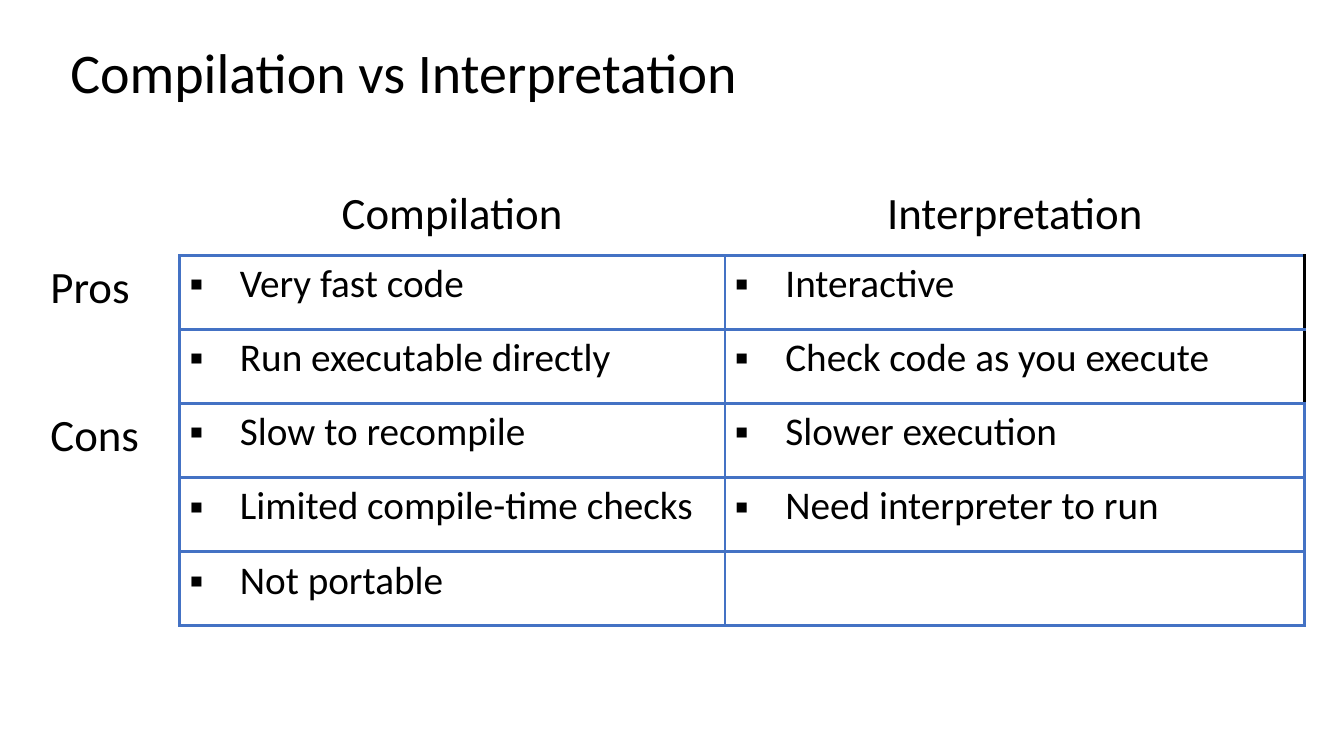
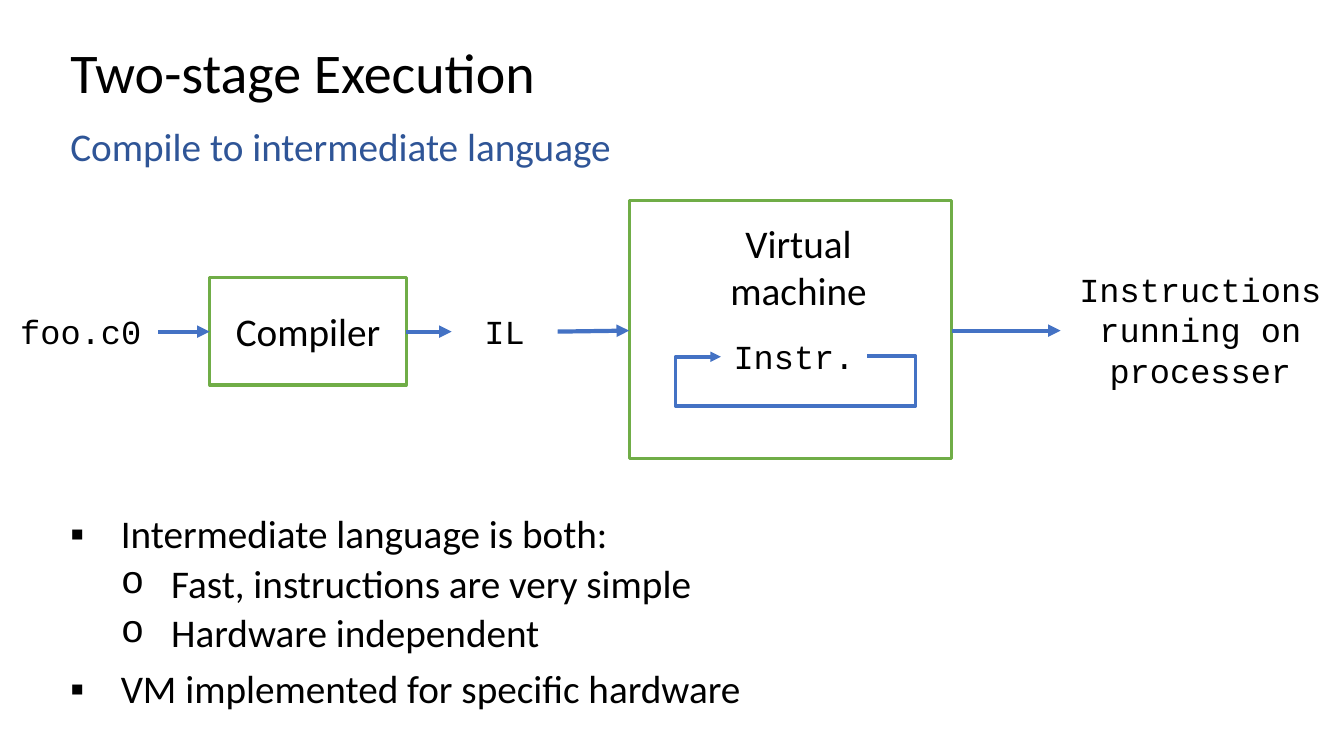
import pptx
import pptx.util
import pptx.dml.color
import pptx.enum.shapes
import pptx.enum.text
import pptx.oxml
import pptx.oxml.ns
import lxml.etree

Inches = pptx.util.Inches
Pt = pptx.util.Pt
qn = pptx.oxml.ns.qn
MIDDLE = pptx.enum.text.MSO_ANCHOR.MIDDLE
TOP = pptx.enum.text.MSO_ANCHOR.TOP
CENTER = pptx.enum.text.PP_ALIGN.CENTER
LEFT = pptx.enum.text.PP_ALIGN.LEFT

BLACK, BLUE, NAVY, GREEN = "000000", "4472C4", "2F5597", "70AD47"
SANS, MONO = "Calibri", "Courier New"
SQUARE, RING = ("▪", SANS), ("o", MONO)
MARGIN, BODY_WIDTH = 0.6, 11.5

COMPARISON_TITLE = "Compilation vs Interpretation"
COMPARISON = [
    ("", "Compilation", "Interpretation"),
    ("Pros", "Very fast code", "Interactive"),
    ("", "Run executable directly", "Check code as you execute"),
    ("Cons", "Slow to recompile", "Slower execution"),
    ("", "Limited compile-time checks", "Need interpreter to run"),
    ("", "Not portable", ""),
]
TABLE_BOX = (0.4, 1.8, 12.54, 4.41)
COLUMN_WIDTHS = (1.38, 5.41, 5.75)
RULED_BELOW = {0, 1, 2, 3, 5}
BLACK_EDGE_ROWS = {1, 2}

STAGES_TITLE = "Two-stage Execution"
STAGES_SUBTITLE = "Compile to intermediate language"
FRAMES = [
    ((2.08, 2.75, 1.95, 1.07), "Compiler"),
    ((6.24, 1.99, 3.2, 2.56), ""),
]
LABELS = [
    ((0.04, 3.04, 1.52, 0.5), "foo.c0", MONO, 24),
    ((4.48, 3.04, 1.05, 0.5), "IL", MONO, 24),
    ((6.65, 2.13, 2.54, 1.04), "Virtual machine", SANS, 28),
    ((7.15, 3.28, 1.45, 0.5), "Instr.", MONO, 24),
    ((10.52, 2.62, 2.77, 1.31), "Instructions running on processer", MONO, 24),
]
ARROWS = [
    ((1.57, 3.29), (2.08, 3.29)),
    ((4.03, 3.29), (4.48, 3.29)),
    ((5.53, 3.29), (6.24, 3.28)),
    ((9.44, 3.28), (10.52, 3.28)),
]
LOOP = [(8.6, 3.53), (9.08, 3.53), (9.08, 4.03), (6.7, 4.03), (6.7, 3.54), (7.15, 3.54)]
POINTS = [
    (0, "Intermediate language is both:"),
    (1, "Fast, instructions are very simple"),
    (1, "Hardware independent"),
    (0, "VM implemented for specific hardware"),
]


def color(code):
    """Turn a hex string into a colour."""
    return pptx.dml.color.RGBColor.from_string(code)


def style(para, size, font=SANS, tint=BLACK, align=LEFT):
    """Set the font and alignment of a paragraph."""
    para.font.size = Pt(size)
    para.font.name = font
    para.font.color.rgb = color(tint)
    para.alignment = align


def add_bullet(para, mark, level=0):
    """Give a paragraph a hanging bullet."""
    sign, font = mark
    props = para._p.get_or_add_pPr()
    props.set("marL", str(Inches(0.5 * (level + 1))))
    props.set("indent", str(Inches(-0.5)))
    bullet_font = lxml.etree.Element(qn("a:buFont"), typeface=font)
    bullet = lxml.etree.Element(qn("a:buChar"), char=sign)
    defaults = props.find(qn("a:defRPr"))
    defaults.addprevious(bullet_font)
    defaults.addprevious(bullet)


def add_text(page, place, text, size, font=SANS, tint=BLACK, align=LEFT, anchor=TOP):
    """Add a wrapped text box and return its first paragraph."""
    frame = page.shapes.add_textbox(*map(Inches, place)).text_frame
    frame.word_wrap = True
    frame.vertical_anchor = anchor
    para = frame.paragraphs[0]
    para.text = text
    style(para, size, font, tint, align)
    return para


def add_page(deck, title):
    """Add a blank page with the shared title."""
    page = deck.slides.add_slide(deck.slide_layouts[6])
    para = add_text(page, (MARGIN, 0.4, BODY_WIDTH, 0.69), title, 40, anchor=MIDDLE)
    para.line_spacing = 0.9
    return page


def draw_edges(cell, edges):
    """Draw cell borders from a dict of side and colour."""
    props = cell._tc.get_or_add_tcPr()
    sides = [side for side in "LRTB" if side in edges]
    for position, side in enumerate(sides):
        edge = lxml.etree.Element(qn("a:ln" + side), w=str(Pt(2.25)))
        fill = lxml.etree.SubElement(edge, qn("a:solidFill"))
        lxml.etree.SubElement(fill, qn("a:srgbClr"), val=edges[side])
        props.insert(position, edge)


def find_edges(row, column):
    """Work out which sides of a cell are ruled."""
    edges = {}
    if column and row:
        black = column == 2 and row in BLACK_EDGE_ROWS
        edges = {"L": BLUE, "R": BLACK if black else BLUE}
    if column and row in RULED_BELOW:
        edges["B"] = BLUE
    if column and row - 1 in RULED_BELOW:
        edges["T"] = BLUE
    if row and column == 0:
        edges["R"] = BLUE
    return edges


def add_comparison(page):
    """Add the table of pros and cons."""
    table = page.shapes.add_table(
        len(COMPARISON), len(COLUMN_WIDTHS), *map(Inches, TABLE_BOX)).table
    table.first_row = table.horz_banding = False
    plain_style = "{2D5ABB26-0587-4C30-8999-92F81FD0307C}"
    table._tbl.tblPr.find(qn("a:tableStyleId")).text = plain_style
    for column, width in zip(table.columns, COLUMN_WIDTHS):
        column.width = Inches(width)
    for row, texts in enumerate(COMPARISON):
        table.rows[row].height = Inches(TABLE_BOX[3] / len(COMPARISON))
        for column, text in enumerate(texts):
            cell = table.cell(row, column)
            cell.fill.background()
            draw_edges(cell, find_edges(row, column))
            cell.text = text
            para = cell.text_frame.paragraphs[0]
            heading = row == 0 or column == 0
            style(para, 32 if heading else 28, align=LEFT if row else CENTER)
            if text and not heading:
                add_bullet(para, SQUARE)


def add_frame(page, place, text):
    """Add a green outlined box with centred text."""
    box = page.shapes.add_shape(
        pptx.enum.shapes.MSO_SHAPE.RECTANGLE, *map(Inches, place))
    box.shadow.inherit = False
    box.fill.background()
    box.line.color.rgb = color(GREEN)
    box.line.width = Pt(2.25)
    if text:
        box.text_frame.text = text
        box.text_frame.vertical_anchor = MIDDLE
        style(box.text_frame.paragraphs[0], 28, align=CENTER)


def finish_arrow(line, width):
    """Colour a line and put an arrowhead at its end."""
    line.color.rgb = color(BLUE)
    line.width = Pt(width)
    lxml.etree.SubElement(line._get_or_add_ln(), qn("a:tailEnd"), type="triangle")


def add_arrow(page, start, end):
    """Add a straight arrow."""
    arrow = page.shapes.add_connector(
        pptx.enum.shapes.MSO_CONNECTOR.STRAIGHT, *map(Inches, start + end))
    finish_arrow(arrow.line, 3)
    lxml.etree.SubElement(arrow._element.spPr, qn("a:effectLst"))


def add_loop(page, corners):
    """Add an open arrow that runs through the corners."""
    spots = [(Inches(x), Inches(y)) for x, y in corners]
    builder = page.shapes.build_freeform(*spots[0])
    builder.add_line_segments(spots[1:], close=False)
    loop = builder.convert_to_shape()
    loop.shadow.inherit = False
    loop.fill.background()
    finish_arrow(loop.line, 2.5)


def add_points(page):
    """Add the bulleted list in two levels."""
    para = add_text(page, (MARGIN, 5.06, BODY_WIDTH, 0.59), POINTS[0][1], 28)
    frame = page.shapes[-1].text_frame
    for index, (level, text) in enumerate(POINTS):
        if index:
            para = frame.add_paragraph()
            para.text = text
            style(para, 28)
        para.level = level
        para.line_spacing = 0.9
        para.space_before = Pt(5 if level else 10)
        add_bullet(para, RING if level else SQUARE, level)


def add_stages(page):
    """Add the subtitle, the flow diagram and the list."""
    subtitle = add_text(
        page, (MARGIN, 1.22, BODY_WIDTH, 0.59), STAGES_SUBTITLE, 28, tint=NAVY)
    subtitle.line_spacing = 0.9
    subtitle.space_before = Pt(10)
    for place, text in FRAMES:
        add_frame(page, place, text)
    for place, text, font, size in LABELS:
        add_text(page, place, text, size, font, align=CENTER)
    for start, end in ARROWS:
        add_arrow(page, start, end)
    add_loop(page, LOOP)
    add_points(page)


deck = pptx.Presentation()
deck.slide_width, deck.slide_height = Inches(13.33), Inches(7.5)
add_comparison(add_page(deck, COMPARISON_TITLE))
add_stages(add_page(deck, STAGES_TITLE))
deck.save("out.pptx")
